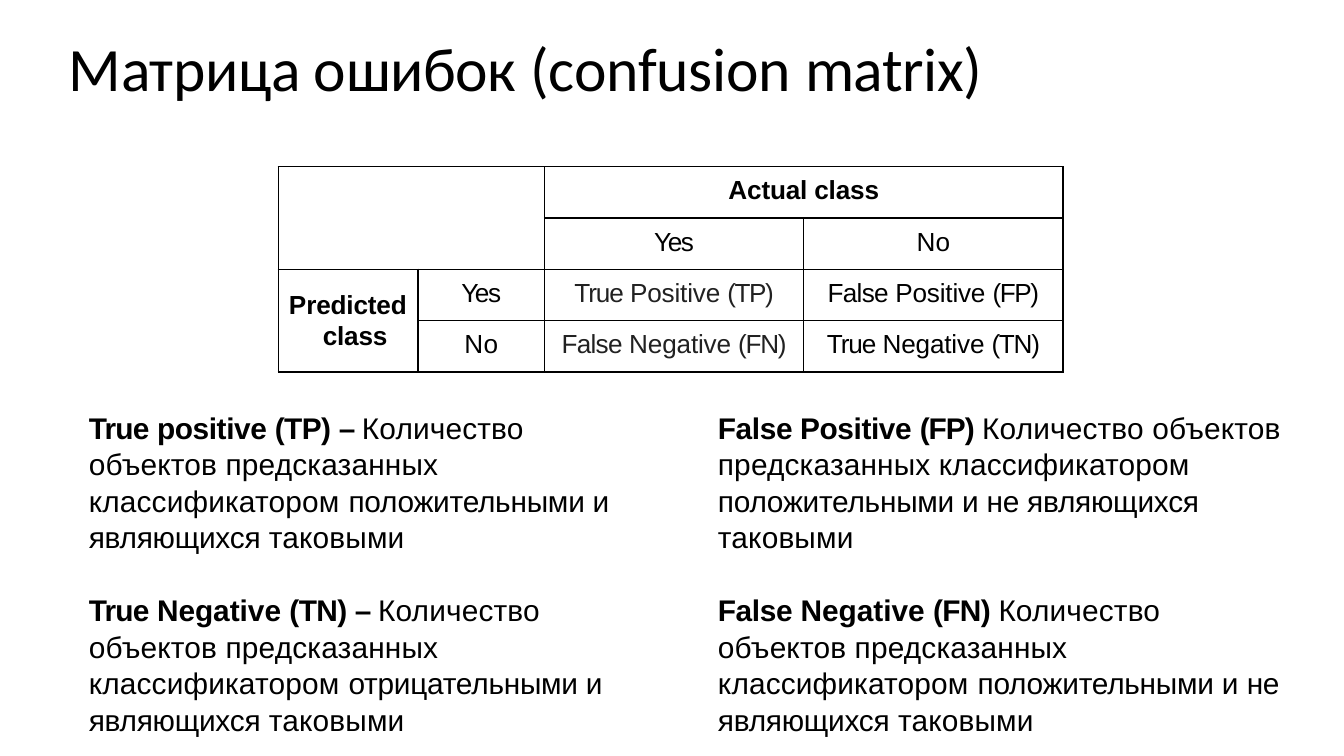
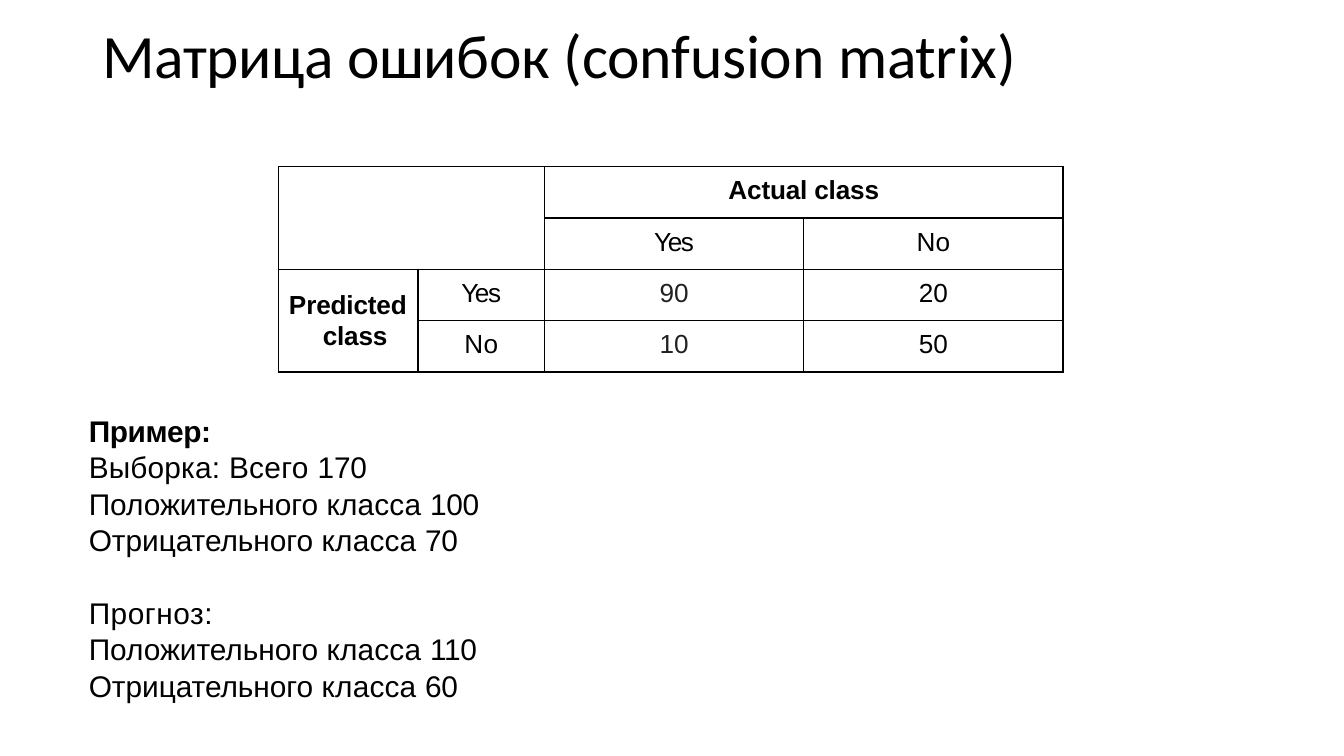
from lxml.etree import SubElement
from pptx import Presentation
from pptx.dml.color import RGBColor
from pptx.enum.text import MSO_ANCHOR, PP_ALIGN
from pptx.oxml.ns import qn
from pptx.util import Cm, Pt

COLORS = {"text": "000000", "soft": "212121", "line": "000000", "page": "FFFFFF"}

TITLE = [("Матрица ошибок ", -0.2), ("(confusion ", -0.1), ("matrix)", -0.2)]
YES, NO = [("Yes", -0.8)], [("No", 0.1)]
ACTUAL = [("Actual class", -0.1)]
PREDICTED = [("P", -0.2), ("redicted class", -0.1)]

OUTCOMES = [
    [[("True ", -0.6), ("Positive ", -0.1), ("(TP)", -0.8)],
     [("False ", -0.4), ("Positive ", -0.1), ("(FP)", -0.8)]],
    [[("False ", -0.4), ("Negative ", -0.1), ("(FN)", -0.7)],
     [("True ", -0.6), ("Negative ", -0.1), ("(TN)", -0.7)]],
]
COUNTS = [[[("90", -0.1)], [("20", -0.1)]],
          [[("10", -0.1)], [("50", -0.1)]]]

OBJECTS = ("Количество объектов предсказанных классификатором ", 0.1)
SUCH = ("таковыми", 0.1)
DEFINITIONS = [
    [([("True ", -0.4), ("positive ", -0.2), ("(TP) ", -0.3), ("– ", -0.9)],
      [OBJECTS, ("положительными и являющихся ", -0.1), SUCH]),
     ([("False Positive ", -0.2), ("(FP) ", -0.5)],
      [OBJECTS, ("положительными и не являющихся ", -0.1), SUCH])],
    [([("True ", -0.4), ("Negative ", 0), ("(TN) ", -0.3), ("– ", -0.9)],
      [OBJECTS, ("отрицательными и являющихся ", -0.1), SUCH]),
     ([("False ", -0.2), ("Negative ", 0), ("(FN) ", -0.3)],
      [OBJECTS, ("положительными и ", -0.1), ("не ", -0.2),
       ("являющихся ", -0.1), SUCH])],
]

EXAMPLE_HEAD = [("Пример:", -0.2)]
SAMPLE = [
    [("Выборка: ", 0.1), ("Всего ", 0.2), ("170", -0.1)],
    [("Положительного ", 0), ("класса ", 0.1), ("100", -0.1)],
    [("Отрицательного ", 0), ("класса ", 0.1), ("70", -0.1)],
]
FORECAST_HEAD = [("Прогноз:", 0.3)]
FORECAST = [
    [("Положительного ", 0), ("класса ", 0.1), ("110", -0.1)],
    [("Отрицательного ", 0), ("класса ", 0.1), ("60", -0.1)],
]

TABLE_AT = (5.26, 3.15)
COLUMNS = (2.64, 2.39, 4.9, 4.9)
ROW = 0.97
TEXT_LEFT = 1.65
DEFINITION_TOP, DEFINITION_STEP = 7.7, 3.45
DEFINITION_COLUMNS = ((TEXT_LEFT, 10.06), (13.54, 10.82))


def style(p, size, name="Arial", color="text", bold=False, before=0):
    p.font.size = Pt(size)
    p.font.name = name
    p.font.bold = bold
    p.font.color.rgb = RGBColor.from_string(COLORS[color])
    p.space_before = Pt(before)


def write(p, runs, bold=None):
    for text, spacing in runs:
        r = p.add_run()
        r.text = text
        r.font.bold = bold
        if spacing:
            r.font._element.set("spc", str(round(spacing * 100)))


def add_box(s, left, top, width, height):
    tf = s.shapes.add_textbox(Cm(left), Cm(top), Cm(width), Cm(height)).text_frame
    tf.word_wrap = True
    tf.margin_left = tf.margin_top = Cm(0.03)
    tf.margin_right = tf.margin_bottom = 0
    return tf


def add_title(s, left, top, width, height):
    tf = add_box(s, left, top, width, height)
    tf.vertical_anchor = MSO_ANCHOR.MIDDLE
    p = tf.paragraphs[0]
    style(p, 33, "Calibri", before=1)
    write(p, TITLE)


def format_cell(cell):
    cell.margin_left = cell.margin_right = cell.margin_bottom = 0
    cell.margin_top = Cm(0.18)
    tcPr = cell._tc.get_or_add_tcPr()
    for edge in ("a:lnL", "a:lnR", "a:lnT", "a:lnB"):
        ln = SubElement(tcPr, qn(edge), w=str(Pt(0.75)))
        fill = SubElement(ln, qn("a:solidFill"))
        SubElement(fill, qn("a:srgbClr"), val=COLORS["line"])
    cell.fill.background()


def fill_cell(cell, runs, color="text", bold=False):
    p = cell.text_frame.paragraphs[0]
    p.alignment = PP_ALIGN.CENTER
    style(p, 14, color=color, bold=bold, before=4.9)
    write(p, runs)


def add_matrix(s, values):
    left, top = TABLE_AT
    table = s.shapes.add_table(4, len(COLUMNS), Cm(left), Cm(top),
                               Cm(sum(COLUMNS)), Cm(4 * ROW)).table
    table.first_row = table.horz_banding = False
    for column, width in zip(table.columns, COLUMNS):
        column.width = Cm(width)
    for row in table.rows:
        row.height = Cm(ROW)
        for cell in row.cells:
            format_cell(cell)
    for first, last in (((0, 0), (1, 1)), ((0, 2), (0, 3)), ((2, 0), (3, 0))):
        table.cell(*first).merge(table.cell(*last))

    fill_cell(table.cell(0, 2), ACTUAL, bold=True)
    for i, label in enumerate((YES, NO)):
        fill_cell(table.cell(1, 2 + i), label)
        fill_cell(table.cell(2 + i, 1), label)
        for j, color in enumerate(("soft", "text")):
            fill_cell(table.cell(2 + i, 2 + j), values[i][j], color)

    corner = table.cell(2, 0)
    corner.margin_top = Cm(0.38)
    p = corner.text_frame.paragraphs[0]
    style(p, 14, bold=True, before=11.2)
    p.line_spacing = Pt(16.5)
    pPr = p._p.get_or_add_pPr()
    pPr.set("marL", str(Cm(0.84)))
    pPr.set("indent", str(Cm(-0.64)))
    write(p, PREDICTED)


def add_definitions(s):
    for i, pair in enumerate(DEFINITIONS):
        top = DEFINITION_TOP + i * DEFINITION_STEP
        for (left, width), (term, meaning) in zip(DEFINITION_COLUMNS, pair):
            p = add_box(s, left, top, width, 2.82).paragraphs[0]
            style(p, 16, before=0.7)
            p.line_spacing = 1.02
            write(p, term, bold=True)
            write(p, meaning)


def add_example(s):
    tf = add_box(s, TEXT_LEFT, 7.77, 7.57, 5.56)
    lines = [(EXAMPLE_HEAD, True, 1)]
    lines += [(runs, False, 0.3) for runs in SAMPLE]
    lines += [(FORECAST_HEAD, False, 19.8)]
    lines += [(runs, False, 0.3) for runs in FORECAST]
    for i, (runs, bold, before) in enumerate(lines):
        p = tf.add_paragraph() if i else tf.paragraphs[0]
        style(p, 16, bold=bold, before=before)
        write(p, runs)


def add_slide(prs):
    s = prs.slides.add_slide(prs.slide_layouts[6])
    s.background.fill.solid()
    s.background.fill.fore_color.rgb = RGBColor.from_string(COLORS["page"])
    return s


def main():
    prs = Presentation()
    prs.slide_width, prs.slide_height = Cm(25.4), Cm(14.29)

    s = add_slide(prs)
    add_title(s, 1.27, 0.46, 23.55, 1.57)
    add_matrix(s, OUTCOMES)
    add_definitions(s)

    s = add_slide(prs)
    add_title(s, 1.9, 0.28, 22.91, 1.45)
    add_example(s)
    add_matrix(s, COUNTS)

    prs.save("out.pptx")


if __name__ == "__main__":
    main()
